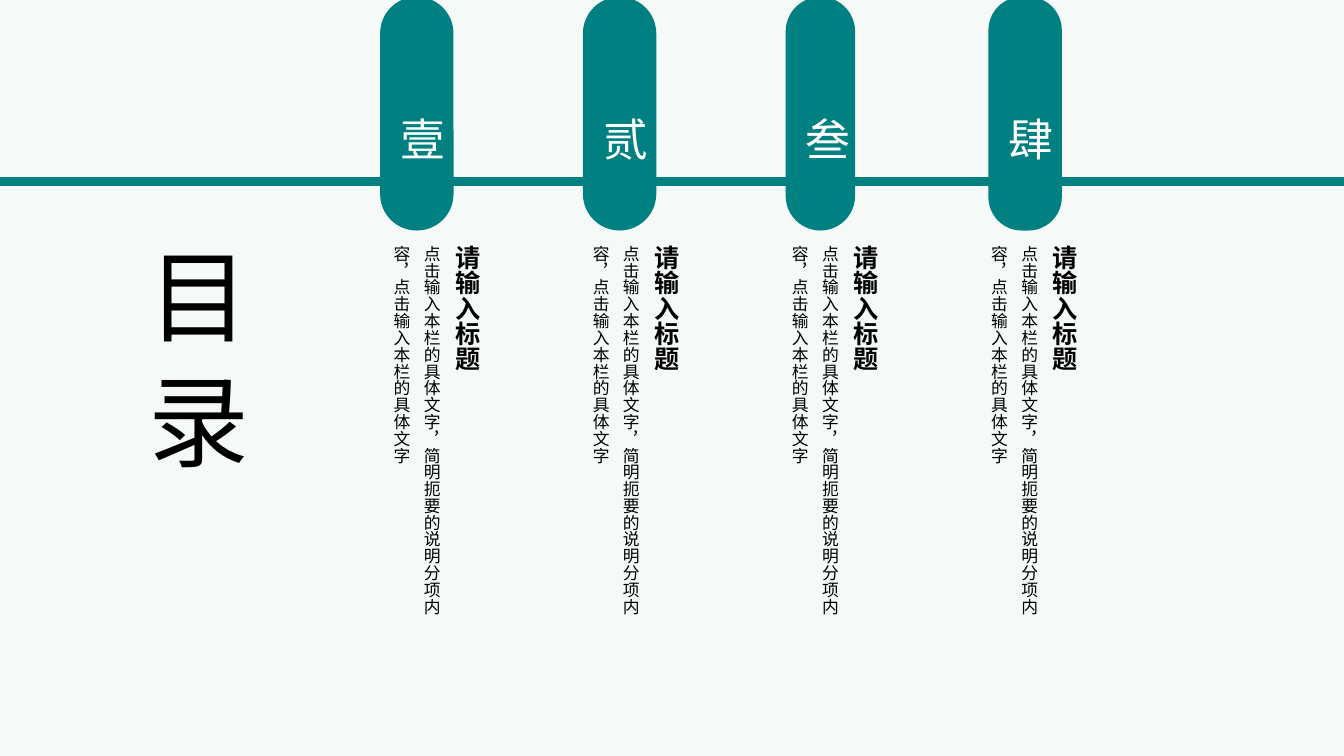
from dataclasses import dataclass

from lxml import etree
from pptx import Presentation
from pptx import util as u
from pptx.dml.color import RGBColor
from pptx.enum import shapes, text
from pptx.oxml import ns

COLORS = {"background": "F5FAF9", "teal": "008080", "ink": "000000", "white": "FFFFFF"}
SANS_JP, SANS_SC = "Noto Sans CJK JP", "Noto Sans CJK SC"
FORMATS = {
    "numeral": {"size": u.Pt(32), "name": SANS_JP, "color": "white"},
    "heading": {"size": u.Pt(18), "name": SANS_JP, "color": "ink", "bold": True},
    "body": {"size": u.Pt(12), "name": SANS_JP, "color": "ink"},
    "contents": {"size": u.Pt(72), "name": SANS_SC, "color": "ink"},
}
HEADING = "请输入标题"
BODY = "点击输入本栏的具体文字，简明扼要的说明分项内容，点击输入本栏的具体文字"


@dataclass
class Section:
    """Numeral, pill shape and heading box of one section, in centimetres."""

    numeral: str
    pill_width: float = 1.85
    rounding: float = 0.5
    heading_offset: float = 1.52
    heading_width: float = 1.68
    heading_height: float = 5.89
    heading_spacing: float = 1.5


SECTIONS = [
    Section("壹", rounding=0.497, heading_offset=1.57, heading_width=1.27, heading_spacing=1.0),
    Section("贰"),
    Section("叁", pill_width=1.75, heading_height=7.09),
    Section("肆", rounding=0.454),
]


def rgb(name):
    """Return the named colour."""
    return RGBColor.from_string(COLORS[name])


def write(paragraph, words, style):
    """Add one run in the named style to the paragraph."""
    run = paragraph.add_run()
    run.text = words
    for attribute, value in FORMATS[style].items():
        if attribute == "color":
            run.font.color.rgb = rgb(value)
        else:
            setattr(run.font, attribute, value)
    east_asian = etree.SubElement(run.font._element, ns.qn("a:ea"))
    east_asian.set("typeface", FORMATS[style]["name"])


def add_vertical_text(slide, box, words, style, **layout):
    """Place vertical East Asian text in the box (left, top, width, height)."""
    shape = slide.shapes.add_textbox(*map(u.Cm, box))
    frame = shape.text_frame
    frame.word_wrap = True
    frame.auto_size = text.MSO_AUTO_SIZE.SHAPE_TO_FIT_TEXT
    shape.element.txBody.bodyPr.set("vert", "eaVert")
    paragraph = frame.paragraphs[0]
    write(paragraph, words, style)
    for attribute, value in layout.items():
        setattr(paragraph, attribute, value)


def add_rail(slide, top, width):
    """Draw the horizontal rail behind the pills."""
    rail = slide.shapes.add_connector(
        shapes.MSO_CONNECTOR.STRAIGHT, 0, u.Cm(top), width, u.Cm(top))
    rail.line.color.rgb = rgb("teal")
    rail.line.width = u.Pt(6)
    etree.SubElement(rail.element.spPr, ns.qn("a:effectLst"))


def add_pill(slide, box, section):
    """Draw a section's pill with its numeral low in the box."""
    pill = slide.shapes.add_shape(shapes.MSO_SHAPE.ROUNDED_RECTANGLE, *map(u.Cm, box))
    pill.adjustments[0] = section.rounding
    pill.shadow.inherit = False
    pill.fill.solid()
    pill.fill.fore_color.rgb = rgb("teal")
    pill.line.fill.background()
    frame = pill.text_frame
    frame.word_wrap = True
    frame.vertical_anchor = text.MSO_ANCHOR.MIDDLE
    frame.margin_top = u.Cm(1.37)
    paragraph = frame.paragraphs[0]
    paragraph.alignment = text.PP_ALIGN.CENTER
    write(paragraph, section.numeral, "numeral")


def add_description(slide, box, section):
    """Place a section's heading and body relative to the body box."""
    left, top, _, _ = box
    heading_box = (left + section.heading_offset, top,
                   section.heading_width, section.heading_height)
    add_vertical_text(slide, heading_box, HEADING, "heading",
                      line_spacing=section.heading_spacing)
    add_vertical_text(slide, box, BODY, "body", line_spacing=1.5)


def build_contents_slide(presentation):
    """Build the contents slide with its four sections."""
    slide = presentation.slides.add_slide(presentation.slide_layouts[6])
    slide.background.fill.solid()
    slide.background.fill.fore_color.rgb = rgb("background")
    add_rail(slide, 4.57, presentation.slide_width)
    for index, section in enumerate(SECTIONS):
        add_pill(slide, (9.58 + 5.11 * index, -0.08, section.pill_width, 5.89), section)
    for index, section in enumerate(SECTIONS):
        add_description(slide, (9.45 + 5.02 * index, 5.94, 2.06, 10.06), section)
    add_vertical_text(slide, (3, 5.94, 3.58, 7.98), "目 录", "contents",
                      alignment=text.PP_ALIGN.CENTER)


def main():
    """Create and save the presentation."""
    presentation = Presentation()
    presentation.slide_width = u.Cm(33.87)
    presentation.slide_height = u.Cm(19.05)
    build_contents_slide(presentation)
    presentation.save("out.pptx")


if __name__ == "__main__":
    main()
